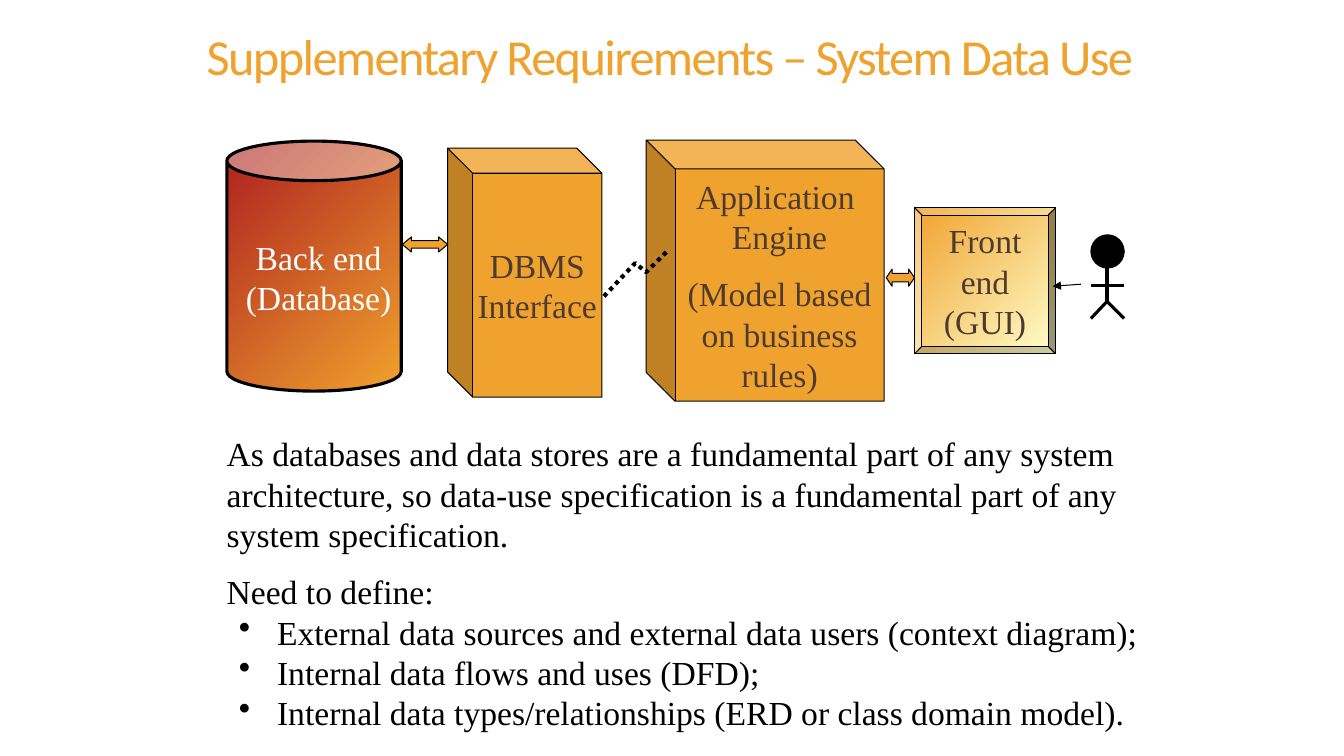
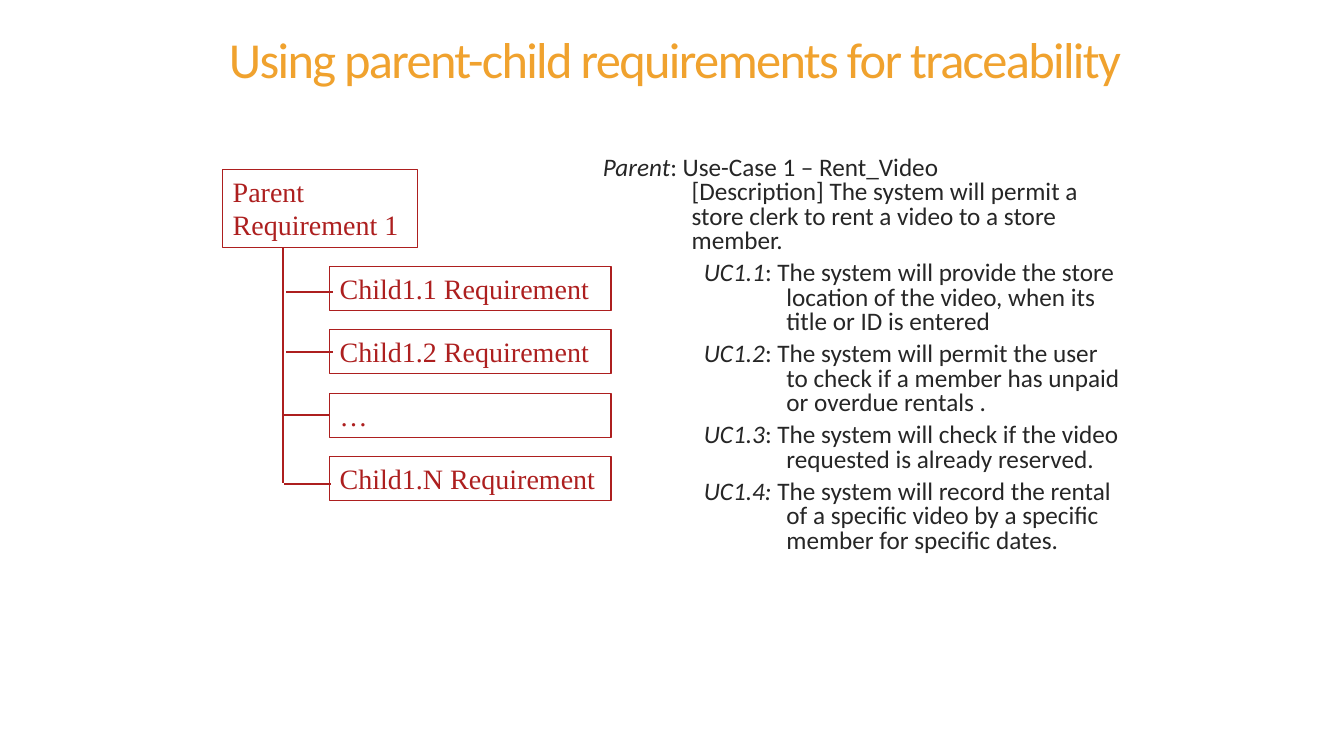
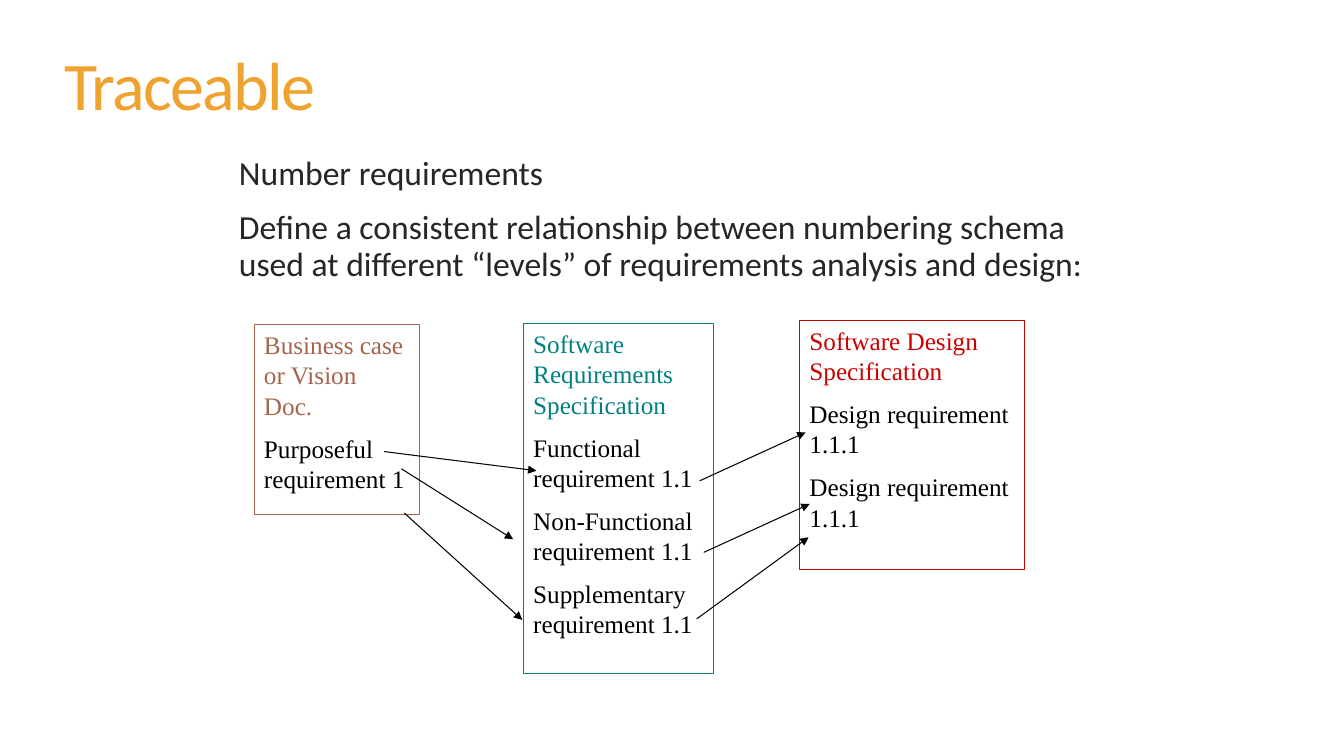
from lxml import etree
from pptx import Presentation
from pptx.dml.color import RGBColor
from pptx.enum.dml import MSO_LINE
from pptx.enum.shapes import MSO_CONNECTOR, MSO_SHAPE as SHAPE
from pptx.enum.text import MSO_ANCHOR as ANCHOR, MSO_AUTO_SIZE, PP_ALIGN as ALIGN
from pptx.oxml.ns import qn
from pptx.util import Inches, Pt

AMBER = RGBColor(0xF0, 0xA2, 0x2E)
CREAM = RGBColor(0xFF, 0xFF, 0xCC)
CRIMSON = RGBColor(0xAD, 0x1F, 0x1F)
RED = RGBColor(0xCC, 0x00, 0x00)
TEAL = RGBColor(0x00, 0x80, 0x80)
CLAY = RGBColor(0xA5, 0x64, 0x4E)
BROWN = RGBColor(0x4E, 0x3B, 0x30)
CHARCOAL = RGBColor(0x26, 0x26, 0x26)
BLACK = RGBColor(0, 0, 0)
WHITE = RGBColor(0xFF, 0xFF, 0xFF)
SANS = "Calibri"
SERIF = "Times New Roman"


def write(frame, text, size, color, font=SERIF, lead="", align=ALIGN.LEFT,
          before=None, spacing=None, level=0, margin=0, indent=0, bullet=None):
    para = frame.add_paragraph() if frame.text else frame.paragraphs[0]
    para.alignment = align
    para.level = level
    para.space_before = Pt(size / 2 if before is None else before)
    para.line_spacing = spacing
    props = para._p.get_or_add_pPr()
    props.set("marL", str(Inches(margin)))
    props.set("indent", str(Inches(indent)))
    if bullet:
        etree.SubElement(props, qn("a:buChar")).set("char", bullet)
    else:
        etree.SubElement(props, qn("a:buNone"))
    for part, italic in ((lead, True), (text, False)):
        for index, line in enumerate(part.split("\n")):
            if index:
                para.add_line_break()
            if line:
                span = para.add_run()
                span.text = line
                span.font.name = font
                span.font.size = Pt(size)
                span.font.color.rgb = color
                span.font.italic = italic
    return para


def add_box(page, kind, place, line, width=0.75, fills=(), adjustments=(), anchor=ANCHOR.TOP):
    box = page.shapes.add_shape(kind, *map(Inches, place))
    box.shadow.inherit = False
    box.line.color.rgb = line
    box.line.width = Pt(width)
    for index, value in enumerate(adjustments):
        box.adjustments[index] = value
    if len(fills) == 2:
        box.fill.gradient()
        box.fill.gradient_angle = 315
        for stop, color in zip(box.fill.gradient_stops, fills):
            stop.color.rgb = color
    elif fills:
        box.fill.solid()
        box.fill.fore_color.rgb = fills[0]
    else:
        box.fill.background()
    box.text_frame.word_wrap = True
    box.text_frame.vertical_anchor = anchor
    return box


deck = Presentation()
deck.slide_width = Inches(13.33)
deck.slide_height = Inches(7.5)

pages = []
for layout, title, place, size in (
    (5, "Supplementary Requirements – System Data Use", (1.95, 0, 9.71, 1.2), 36),
    (1, "Using parent-child requirements for traceability", (2.17, 0, 9.5, 1.25), 36),
    (1, "Traceable", (0.54, 0.55, 11.96, 0.67), 48.6),
):
    page = deck.slides.add_slide(deck.slide_layouts[layout])
    heading = page.shapes.title
    heading.left, heading.top, heading.width, heading.height = map(Inches, place)
    heading.text_frame.auto_size = MSO_AUTO_SIZE.NONE
    heading.text_frame.vertical_anchor = ANCHOR.MIDDLE
    para = write(heading.text_frame, title, size, AMBER, SANS, before=0, spacing=0.85)
    para.runs[0]._r.get_or_add_rPr().set("spc", "-120")
    pages.append(page)
data_page, parent_page, trace_page = pages

add_box(data_page, SHAPE.CAN, (2.25, 1.4, 1.73, 2.48), BLACK, 2.25, (CRIMSON, AMBER), (0.227,))
label = data_page.shapes.add_textbox(*map(Inches, (2.34, 2.34, 1.64, 0.81))).text_frame
label.word_wrap = True
label.vertical_anchor = ANCHOR.MIDDLE
label.margin_left = label.margin_right = label.margin_top = label.margin_bottom = 0
write(label, "Back end (Database)", 24, WHITE, align=ALIGN.CENTER)

for kind, place, adjustments, fills, texts in (
    (SHAPE.CUBE, (4.44, 1.47, 1.53, 2.47), (0.163,), (AMBER,), ["DBMS\nInterface"]),
    (SHAPE.LEFT_RIGHT_ARROW, (3.99, 2.35, 0.45, 0.15), (0.5, 0.602), (AMBER,), []),
    (SHAPE.CUBE, (6.41, 1.39, 2.36, 2.59), (0.121,), (AMBER,),
     ["Application \nEngine", "(Model based on business rules)"]),
    (SHAPE.BEVEL, (9.07, 2.06, 1.4, 1.45), (0.053,), (AMBER, CREAM), ["Front end (GUI)"]),
    (SHAPE.OVAL, (10.82, 2.33, 0.33, 0.33), (), (BLACK,), []),
    (SHAPE.LEFT_RIGHT_ARROW, (8.79, 2.67, 0.28, 0.17), (0.5, 0.34), (AMBER,), []),
):
    box = add_box(data_page, kind, place, BLACK, 0.75, fills, adjustments, ANCHOR.MIDDLE)
    if kind == SHAPE.CUBE:
        box._element.spPr.find(qn("a:xfrm")).set("flipH", "1")
    for text in texts:
        write(box.text_frame, text, 24, BROWN, align=ALIGN.CENTER)
    if texts == ["DBMS\nInterface"]:
        box.text_frame.word_wrap = False

builder = data_page.shapes.build_freeform(Inches(5.99), Inches(2.94))
builder.add_line_segments(
    [(Inches(x), Inches(y)) for x, y in ((6.3, 2.61), (6.41, 2.7), (6.62, 2.49))], close=False)
link = builder.convert_to_shape()
link.shadow.inherit = False
link.fill.background()
link.line.color.rgb = BLACK
link.line.width = Pt(3)
link.line.dash_style = MSO_LINE.ROUND_DOT

notes = data_page.shapes.add_textbox(*map(Inches, (2.15, 4.25, 9.27, 3.13))).text_frame
notes.word_wrap = True
for text in (
    "As databases and data stores are a fundamental part of any system architecture, "
    "so data-use specification is a fundamental part of any system specification.",
    "Need to define:",
):
    write(notes, text, 24, BLACK)
for text in (
    "External data sources and external data users (context diagram);",
    "Internal data flows and uses (DFD);",
    "Internal data types/relationships (ERD or class domain model).",
):
    write(notes, text, 24, BLACK, before=0, level=1, margin=0.5, indent=-0.38, bullet="•")

bodies = []
for page, place in ((parent_page, (5.88, 1.51, 5.34, 4.99)), (trace_page, (2.17, 1.5, 9, 1.9))):
    body = page.placeholders[1]
    body.left, body.top, body.width, body.height = map(Inches, place)
    body.text_frame.auto_size = MSO_AUTO_SIZE.NONE
    bodies.append(body.text_frame)
use_case, numbering = bodies

write(use_case, ": Use-Case 1 – Rent_Video\n[Description] The system will permit a store clerk "
      "to rent a video to a store member. ", 18, CHARCOAL, SANS, "Parent",
      before=13, spacing=0.8, margin=0.88, indent=-0.88)
for lead, text in (
    ("UC1.1", ": The system will provide the store location of the video, "
     "when its title or ID is entered"),
    ("UC1.2", ": The system will permit the user to check if a member has unpaid "
     "or overdue rentals ."),
    ("UC1.3", ": The system will check if the video requested is already reserved."),
    ("UC1.4:", " The system will record the rental of a specific video by a specific "
     "member for specific dates. "),
):
    write(use_case, text, 18, CHARCOAL, SANS, lead, before=6, spacing=0.8,
          level=1, margin=1.82, indent=-0.82)

parent = add_box(parent_page, SHAPE.RECTANGLE, (2.21, 1.68, 1.93, 0.78), CRIMSON)
write(parent.text_frame, "Parent Requirement 1", 20, CRIMSON)
for row, text in enumerate(
        ("Child1.1 Requirement", "Child1.2 Requirement", "…", "Child1.N Requirement")):
    child = add_box(parent_page, SHAPE.RECTANGLE, (3.27, 2.64 + 0.63 * row, 2.79, 0.44), CRIMSON)
    write(child.text_frame, text, 20, CRIMSON)

for text in (
    "Number requirements",
    "Define a consistent relationship between numbering schema used at different “levels” "
    "of requirements analysis and design:",
):
    write(numbering, text, 24, CHARCOAL, SANS, before=13, spacing=0.9, margin=0.1)

for place, color, name, requirements in (
    ((2.52, 3.22, 1.64, 1.88), CLAY, "Business case or Vision Doc.",
     ["Purposeful requirement 1"]),
    ((5.19, 3.21, 1.89, 3.47), TEAL, "Software Requirements Specification",
     ["Functional requirement 1.1", "Non-Functional requirement 1.1",
      "Supplementary requirement 1.1"]),
    ((7.93, 3.18, 2.23, 2.47), RED, "Software Design Specification",
     ["Design requirement 1.1.1"] * 2),
):
    document = add_box(trace_page, SHAPE.RECTANGLE, place, color)
    write(document.text_frame, name, 18, color)
    for requirement in requirements:
        write(document.text_frame, requirement, 18, BLACK)

for page, color, width, arrow, lines in (
    (data_page, BLACK, 2.25, False, (
        (10.98, 2.66, 10.98, 2.99), (10.98, 2.99, 10.82, 3.16),
        (11.15, 3.16, 10.98, 2.99), (10.82, 2.83, 11.15, 2.83))),
    (data_page, BLACK, 1.5, False, ((11.15, 2.49, 10.98, 2.66),)),
    (data_page, BLACK, 0.75, True, ((10.72, 2.82, 10.44, 2.84),)),
    (parent_page, CRIMSON, 1.5, False, (
        (2.81, 2.46, 2.81, 4.79), (2.82, 4.8, 3.28, 4.8), (2.81, 4.12, 3.27, 4.12),
        (2.84, 3.49, 3.3, 3.49), (2.84, 2.9, 3.3, 2.9))),
    (trace_page, BLACK, 0.75, True, (
        (3.81, 4.48, 5.32, 4.67), (6.94, 4.77, 7.99, 4.29), (3.98, 4.65, 5.09, 5.35),
        (4.01, 5.09, 5.18, 6.15), (6.98, 5.48, 8.03, 5), (6.91, 6.14, 8.02, 5.33))),
):
    for ends in lines:
        connector = page.shapes.add_connector(MSO_CONNECTOR.STRAIGHT, *map(Inches, ends))
        connector.line.color.rgb = color
        connector.line.width = Pt(width)
        props = connector._element.spPr
        if arrow:
            etree.SubElement(props.find(qn("a:ln")), qn("a:tailEnd")).set("type", "triangle")
        etree.SubElement(props, qn("a:effectLst"))

deck.save("out.pptx")
